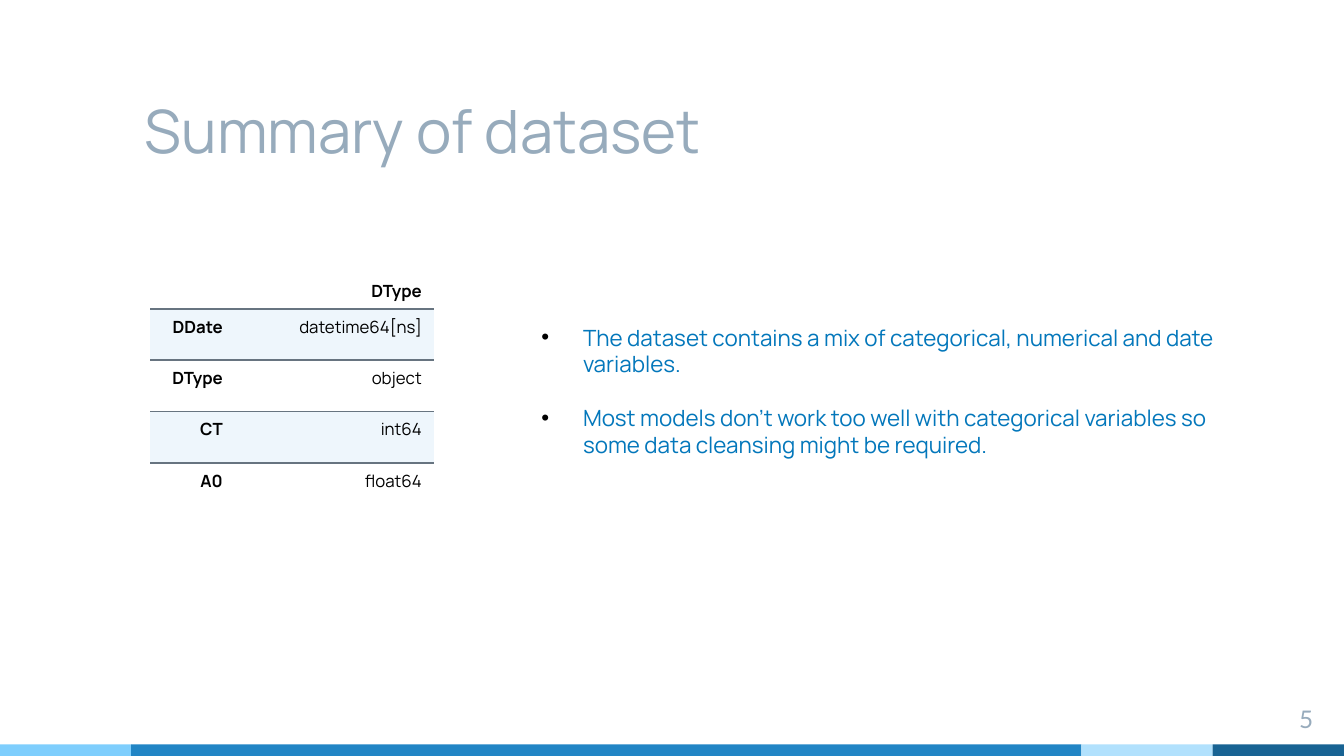
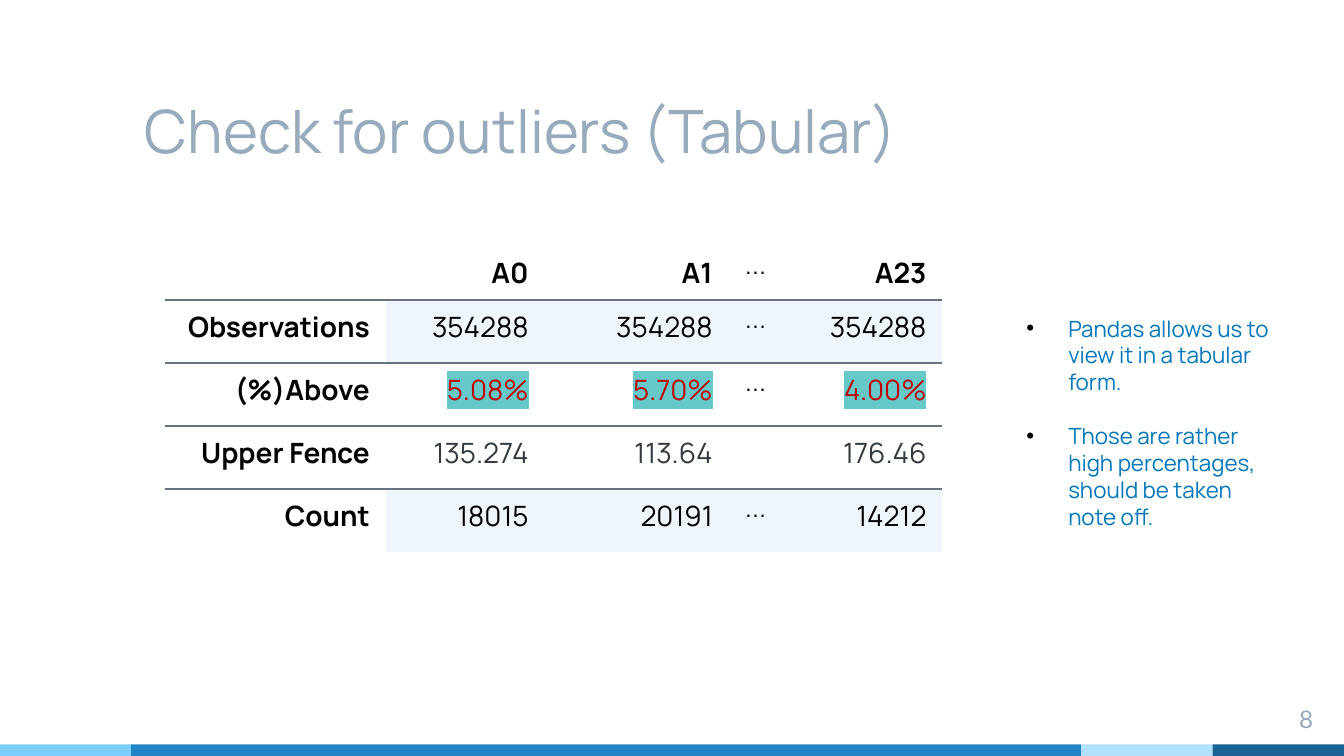
"""Build two slides about a dataset: its column types and its outliers."""
from dataclasses import dataclass
from typing import Optional

from lxml import etree
from pptx import Presentation
from pptx import util as u
from pptx.dml.color import RGBColor
from pptx.enum import shapes, text
from pptx.oxml import ns

Cm = u.Cm


@dataclass(frozen=True)
class Theme:
    heading: str = "97ABBC"
    body: str = "0377BB"
    black: str = "000000"
    slate: str = "343A40"
    alert: str = "C00000"
    marker: str = "66C8C9"
    tint: str = "EEF6FC"
    rule: str = "677480"
    main_font: str = "Manrope"
    number_font: str = "Lato"
    dots_font: str = "Arial"
    title_size: float = 32
    body_size: float = 12
    body_leading: float = 14.4
    number_size: float = 13


THEME = Theme()
NO_GRID_STYLE = "{2D5ABB26-0587-4C30-8999-92F81FD0307C}"
DOTS = "…"


@dataclass(frozen=True)
class Area:
    left: float
    top: float
    width: float
    height: float

    def lengths(self) -> tuple:
        return Cm(self.left), Cm(self.top), Cm(self.width), Cm(self.height)


@dataclass(frozen=True)
class Band:
    width: float
    color: str


@dataclass(frozen=True)
class Look:
    size: float
    color: str
    font: str = THEME.main_font
    bold: bool = False
    highlight: Optional[str] = None


@dataclass(frozen=True)
class Row:
    label: str
    values: tuple
    tinted: bool = False
    color: str = THEME.black
    highlight: Optional[str] = None


@dataclass(frozen=True)
class Grid:
    left: float
    top: float
    columns: tuple
    header_height: float
    row_height: float
    size: float
    inset_x: float
    inset_y: float
    header: tuple
    rows: tuple
    tint_labels: bool = False


@dataclass(frozen=True)
class Topic:
    title: str
    number: str
    bullet_area: Area
    bullets: tuple
    grid: Grid


TITLE_AREA = Area(2.49, 0.99, 17.96, 2.39)
NUMBER_AREA = Area(23.55, 13.06, 1.52, 0.86)
BAND_TOP, BAND_HEIGHT = 14.07, 0.22
BANDS = (Band(2.48, "7ECEFD"), Band(17.96, "2185C5"),
         Band(2.48, "B1E1FD"), Band(2.48, "186393"))

TOPICS = (
    Topic(
        "Summary of dataset", "5", Area(9.98, 5.99, 13.59, 2.82),
        ("The dataset contains a mix of categorical, numerical and date variables.",
         "Most models don't work too well with categorical variables so "
         "some data cleansing might be required."),
        Grid(2.84, 5.16, (1.6, 3.76), 0.66, 0.97, 9, 0.23, 0.12,
             ("DType",),
             (Row("DDate", ("datetime64[ns]",), tinted=True),
              Row("DType", ("object",)),
              Row("CT", ("int64",), tinted=True),
              Row("A0", ("float64",))),
             tint_labels=True)),
    Topic(
        "Check for outliers (Tabular)", "8", Area(19.15, 5.82, 5.18, 4.37),
        ("Pandas allows us to view it in a tabular form.",
         "Those are rather high percentages, should be taken note off."),
        Grid(3.12, 4.65, (4.17, 3, 3.48, 0.74, 3.3), 0.92, 1.19, 15, 0.3, 0.15,
             ("A0", "A1", DOTS, "A23"),
             (Row("Observations", ("354288", "354288", DOTS, "354288"), tinted=True),
              Row("(%)Above", ("5.08%", "5.70%", DOTS, "4.00%"),
                  color=THEME.alert, highlight=THEME.marker),
              Row("Upper Fence", ("135.274", "113.64", "", "176.46"),
                  color=THEME.slate),
              Row("Count", ("18015", "20191", DOTS, "14212"), tinted=True)))),
)


def add_fill(parent, tag: str, color: str):
    """Append a colour element holding one RGB value."""
    element = etree.SubElement(parent, ns.qn(tag))
    etree.SubElement(element, ns.qn("a:srgbClr"), val=color)
    return element


def add_span(para, words: str, look: Look) -> None:
    """Add one formatted run."""
    span = para.add_run()
    span.text = words
    font = span.font
    font.size, font.name, font.bold = u.Pt(look.size), look.font, look.bold
    font.color.rgb = RGBColor.from_string(look.color)
    if look.highlight:
        properties = font._element
        marker = add_fill(properties, "a:highlight", look.highlight)
        properties.find(ns.qn("a:solidFill")).addnext(marker)


def set_frame(frame, inset_x: float, inset_y: float) -> None:
    """Set wrapping and insets of a text frame."""
    frame.word_wrap = True
    frame.auto_size = text.MSO_AUTO_SIZE.NONE
    frame.margin_left = frame.margin_right = Cm(inset_x)
    frame.margin_top = frame.margin_bottom = Cm(inset_y)


def add_title(page, words: str) -> None:
    """Place and format the title placeholder."""
    box = page.shapes.title
    box.left, box.top, box.width, box.height = TITLE_AREA.lengths()
    frame = box.text_frame
    set_frame(frame, 0.25, 0.25)
    frame.vertical_anchor = text.MSO_ANCHOR.BOTTOM
    para = frame.paragraphs[0]
    para.alignment = text.PP_ALIGN.LEFT
    add_span(para, words, Look(THEME.title_size, THEME.heading))


def add_bands(page) -> None:
    """Draw the coloured strip along the bottom edge."""
    left = 0.0
    for band in BANDS:
        area = Area(left, BAND_TOP, band.width, BAND_HEIGHT)
        box = page.shapes.add_shape(shapes.MSO_SHAPE.RECTANGLE, *area.lengths())
        box.shadow.inherit = False
        box.fill.solid()
        box.fill.fore_color.rgb = RGBColor.from_string(band.color)
        box.line.fill.background()
        left += band.width


def add_number(page, number: str) -> None:
    """Write the page number."""
    frame = page.shapes.add_textbox(*NUMBER_AREA.lengths()).text_frame
    set_frame(frame, 0.25, 0.25)
    para = frame.paragraphs[0]
    para.alignment = text.PP_ALIGN.RIGHT
    add_span(para, number, Look(THEME.number_size, THEME.heading, THEME.number_font))


def add_bullets(page, area: Area, bullets: tuple) -> None:
    """Write the bulleted remarks, one blank line's height apart."""
    frame = page.shapes.add_textbox(*area.lengths()).text_frame
    set_frame(frame, 0.25, 0.13)
    for index, words in enumerate(bullets):
        para = frame.add_paragraph() if index else frame.paragraphs[0]
        para.line_spacing = u.Pt(THEME.body_leading)
        if index:
            para.space_before = u.Pt(THEME.body_leading)
        properties = para._p.get_or_add_pPr()
        indent = Cm(0.79)
        properties.set("marL", str(indent))
        properties.set("indent", str(-indent))
        add_fill(properties, "a:buClr", THEME.black)
        etree.SubElement(properties, ns.qn("a:buFont"), typeface="Arial")
        etree.SubElement(properties, ns.qn("a:buChar"), char="•")
        add_span(para, words, Look(THEME.body_size, THEME.body))


def add_rule(cell, tag: str) -> None:
    """Draw one horizontal border of a cell."""
    line = etree.SubElement(cell._tc.get_or_add_tcPr(), ns.qn(tag), w=str(u.Pt(1)))
    add_fill(line, "a:solidFill", THEME.rule)


def fill_cell(cell, words: str, look: Look, grid: Grid, tinted: bool) -> None:
    """Write and colour one table cell."""
    cell.margin_left = cell.margin_right = Cm(grid.inset_x)
    cell.margin_top = cell.margin_bottom = Cm(grid.inset_y)
    if tinted:
        cell.fill.solid()
        cell.fill.fore_color.rgb = RGBColor.from_string(THEME.tint)
    else:
        cell.fill.background()
    para = cell.text_frame.paragraphs[0]
    para.alignment = text.PP_ALIGN.RIGHT
    if words:
        add_span(para, words, look)
    else:
        etree.SubElement(para._p, ns.qn("a:endParaRPr"), sz=str(int(look.size * 100)))


def add_grid(page, grid: Grid) -> None:
    """Draw a table with rules between its rows."""
    rows = (Row("", grid.header),) + grid.rows
    heights = (grid.header_height,) + (grid.row_height,) * len(grid.rows)
    area = Area(grid.left, grid.top, sum(grid.columns), sum(heights))
    box = page.shapes.add_table(len(rows), len(grid.columns), *area.lengths())
    table = box.table
    table.first_row = table.horz_banding = False
    for style in box._element.iter(ns.qn("a:tableStyleId")):
        style.text = NO_GRID_STYLE
    for column, width in zip(table.columns, grid.columns):
        column.width = Cm(width)
    for y, (row, height) in enumerate(zip(rows, heights)):
        table.rows[y].height = Cm(height)
        for x, words in enumerate((row.label,) + row.values):
            cell = table.cell(y, x)
            if y > 0:
                add_rule(cell, "a:lnT")
            if y < len(rows) - 1:
                add_rule(cell, "a:lnB")
            if words == DOTS:
                look = Look(THEME.body_size, THEME.black, THEME.dots_font)
            elif x == 0 or y == 0:
                look = Look(grid.size, THEME.black, bold=True)
            else:
                look = Look(grid.size, row.color, highlight=row.highlight)
            tinted = row.tinted and (x > 0 or grid.tint_labels)
            fill_cell(cell, words, look, grid, tinted)


def main() -> None:
    """Build and save the deck."""
    deck = Presentation()
    deck.slide_width, deck.slide_height = Cm(25.4), Cm(14.29)
    title_only = deck.slide_layouts[5]
    for topic in TOPICS:
        page = deck.slides.add_slide(title_only)
        add_bands(page)
        add_title(page, topic.title)
        add_number(page, topic.number)
        add_bullets(page, topic.bullet_area, topic.bullets)
        add_grid(page, topic.grid)
    deck.save("out.pptx")


if __name__ == "__main__":
    main()
